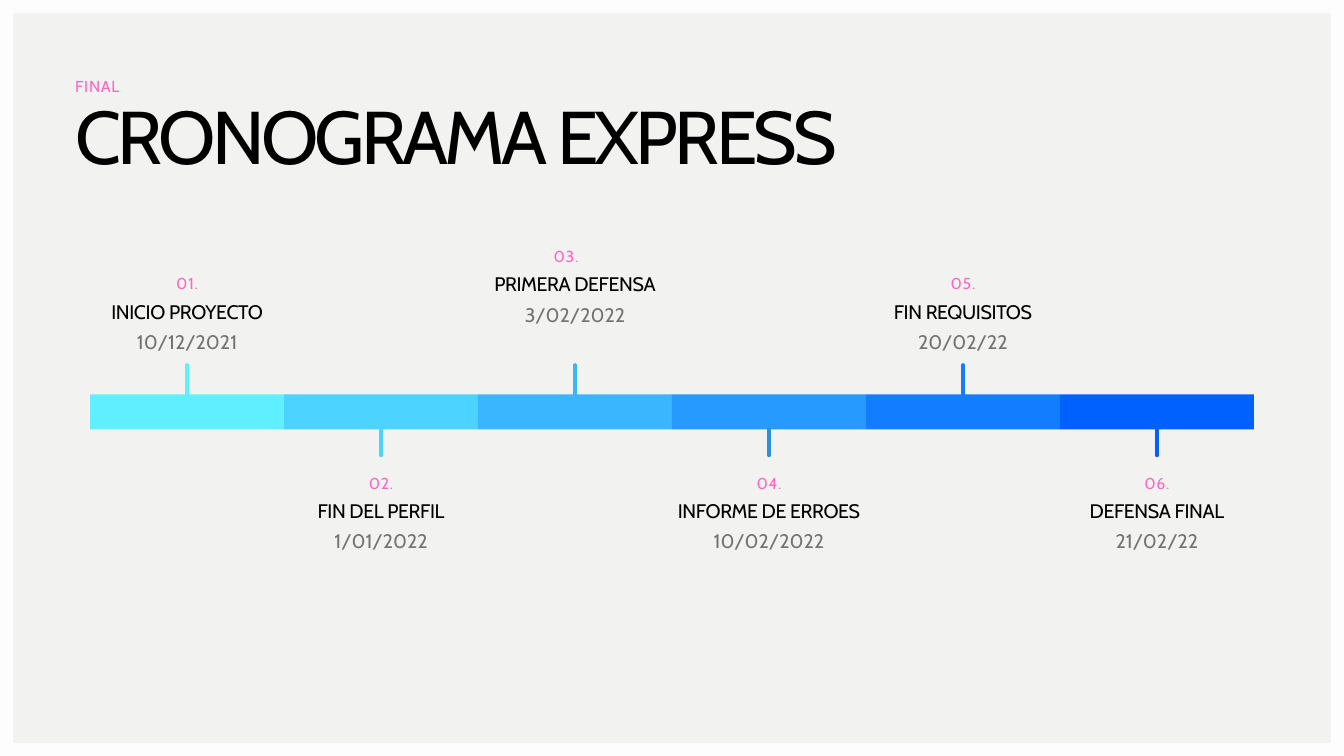
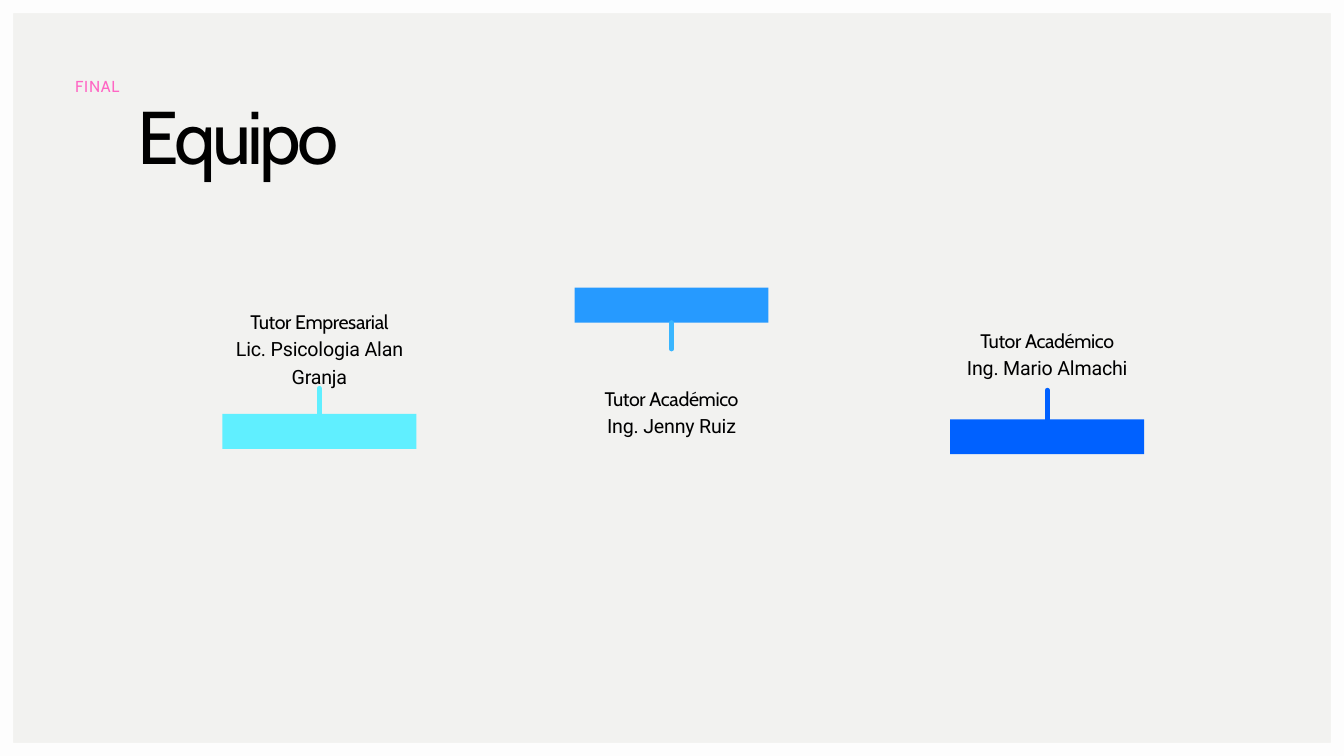
from dataclasses import dataclass

from lxml import etree
from pptx import Presentation
from pptx.dml.color import RGBColor
from pptx.enum import shapes, text
from pptx.oxml.ns import qn
from pptx.util import Pt


@dataclass(frozen=True)
class Style:
    """Type style of one paragraph."""
    size: float
    leading: float
    color: str
    tracking: float = 0
    font: str = "Cabin"


class Theme:
    """Colours, type styles and measures that the slides share."""
    width, height, border = 1440, 810, 14
    paper, edge = "F2F2F0", "FDFDFD"
    blues = ("60EFFF", "4DD3FF", "3AB6FF", "269AFF", "137DFF", "0061FF")
    title = Style(80, 88, "000000", -4)
    tag = Style(17, 23.8, "FF66C4", 0.8)
    name = Style(21, 29.4, "000000", -0.4)
    date = Style(21, 29.4, "737373")
    person = Style(21, 29.4, "000000", -0.2, "Roboto")
    margin = 80.6
    bar_w, bar_h = 207.83, 37.4
    label_w = 237.6


MILESTONES = (
    ("INICIO PROYECTO", "10/12/2021"),
    ("FIN DEL PERFIL", "1/01/2022"),
    ("PRIMERA DEFENSA", "3/02/2022"),
    ("INFORME DE ERROES", "10/02/2022"),
    ("FIN REQUISITOS", "20/02/22"),
    ("DEFENSA FINAL", "21/02/22"),
)
TICK_COLORS = Theme.blues[:3] + ("2C92D5",) + Theme.blues[4:]

TUTORS = (
    ("Tutor Empresarial", "Lic. Psicologia Alan Granja", 238.3, 443.5, 327.6, 416, "60EFFF", "60EFFF"),
    ("Tutor Académico", "Ing. Jenny Ruiz", 615.6, 308.2, 410.4, 374, "269AFF", "3AB6FF"),
    ("Tutor Académico", "Ing. Mario Almachi", 1018.1, 449.3, 347.8, 418, "0061FF", "0061FF"),
)


def rgb(color):
    """Return the colour object of a hex string."""
    return RGBColor.from_string(color)


def style_paragraph(p, style, align):
    """Apply a type style and an alignment to a paragraph."""
    p.alignment = align
    p.line_spacing = Pt(style.leading)
    p.font.size = Pt(style.size)
    p.font.name = style.font
    p.font.color.rgb = rgb(style.color)
    p._p.pPr.find(qn("a:defRPr")).set("spc", str(round(style.tracking * 100)))


def fill_text(sp, lines, align, indent=0):
    """Write (text, style) lines into a shape without inner margins."""
    tf = sp.text_frame
    tf.word_wrap = True
    tf.auto_size = text.MSO_AUTO_SIZE.NONE
    tf.vertical_anchor = text.MSO_ANCHOR.TOP
    tf.margin_left = Pt(indent)
    tf.margin_top = tf.margin_right = tf.margin_bottom = 0
    for i, (line, style) in enumerate(lines):
        p = tf.add_paragraph() if i else tf.paragraphs[0]
        p.text = line
        style_paragraph(p, style, align)


def add_label(slide, x, y, w, h, *lines, align=text.PP_ALIGN.CENTER):
    """Add a text box holding (text, style) lines."""
    sp = slide.shapes.add_textbox(Pt(x), Pt(y), Pt(w), Pt(h))
    fill_text(sp, lines, align)


def paint(sp, color):
    """Give a shape a flat fill with no line or shadow."""
    sp.shadow.inherit = False
    sp.fill.solid()
    sp.fill.fore_color.rgb = rgb(color)
    sp.line.fill.background()


def add_frame(slide):
    """Add the pale border around the slide."""
    w, h, b = Pt(Theme.width), Pt(Theme.height), Pt(Theme.border)
    builder = slide.shapes.build_freeform(0, 0)
    builder.add_line_segments([(0, h), (w, h), (w, 0)])
    builder.move_to(w - b, h - b)
    builder.add_line_segments([(b, h - b), (b, b), (w - b, b)])
    paint(builder.convert_to_shape(), Theme.edge)


def add_bar(slide, x, y, color):
    """Add one coloured bar."""
    sp = slide.shapes.add_shape(shapes.MSO_SHAPE.RECTANGLE, Pt(x), Pt(y),
                                Pt(Theme.bar_w), Pt(Theme.bar_h))
    paint(sp, color)
    return sp


def add_tick(slide, bar, end_y, color, width):
    """Add a round-ended vertical tick from the bar to a height."""
    x = bar.left + bar.width // 2
    side = 0 if Pt(end_y) < bar.top else 2
    line = slide.shapes.add_connector(shapes.MSO_CONNECTOR.STRAIGHT, x, bar.top, x, Pt(end_y))
    line.begin_connect(bar, side)
    line.line.color.rgb = rgb(color)
    line.line.width = Pt(width)
    line.line._get_or_add_ln().set("cap", "rnd")
    etree.SubElement(line._element.spPr, qn("a:effectLst"))


def add_titled_slide(prs, title, indent=0):
    """Add a slide with its border, title and tag."""
    slide = prs.slides.add_slide(prs.slide_layouts[5])
    add_frame(slide)
    sp = slide.shapes.title
    width = Theme.width - 2 * Theme.margin
    sp.left, sp.top, sp.width, sp.height = Pt(Theme.margin), Pt(104.4), Pt(width), Pt(92)
    fill_text(sp, [(title, Theme.title)], text.PP_ALIGN.LEFT, indent)
    add_label(slide, Theme.margin, 79.2, width, 22, ("FINAL", Theme.tag), align=text.PP_ALIGN.LEFT)
    return slide


def add_milestone(slide, center, y, number, name, date, shift=0):
    """Add the number, name and date of a milestone."""
    x = center - Theme.label_w / 2
    add_label(slide, center - 33 + shift, y, 66, 22, (number, Theme.tag))
    add_label(slide, x, y + 27, Theme.label_w, 28, (name, Theme.name))
    add_label(slide, x, y + 59.4, Theme.label_w, 28, (date, Theme.date))


def build_schedule(prs):
    """Build the timeline slide."""
    slide = add_titled_slide(prs, "CRONOGRAMA EXPRESS")
    left = (Theme.width - len(MILESTONES) * Theme.bar_w) / 2
    for i, (name, date) in enumerate(MILESTONES):
        x = left + i * Theme.bar_w
        above = i % 2 == 0
        raised = i == 2
        bar = add_bar(slide, x, 422.6, Theme.blues[i])
        add_tick(slide, bar, 391 if above else 488, TICK_COLORS[i], 3.75)
        y = 290 if above else 503.6
        add_milestone(slide, x + Theme.bar_w / 2, y - 29.4 * raised, f"{i + 1:02}.",
                      name, date, shift=-9.7 * raised)


def build_tutors(prs):
    """Build the slide of the tutors."""
    slide = add_titled_slide(prs, "Equipo", indent=67)
    for role, person, x, bar_y, label_y, tick_y, bar_color, tick_color in TUTORS:
        bar = add_bar(slide, x, bar_y, bar_color)
        add_label(slide, x + (Theme.bar_w - Theme.label_w) / 2, label_y, Theme.label_w, 88,
                  (role, Theme.name), (person, Theme.person))
        add_tick(slide, bar, tick_y, tick_color, 5)


def main():
    """Build and save the presentation."""
    prs = Presentation()
    prs.slide_width, prs.slide_height = Pt(Theme.width), Pt(Theme.height)
    fill = prs.slide_master.background.fill
    fill.solid()
    fill.fore_color.rgb = rgb(Theme.paper)
    build_schedule(prs)
    build_tutors(prs)
    prs.save("out.pptx")


if __name__ == "__main__":
    main()
